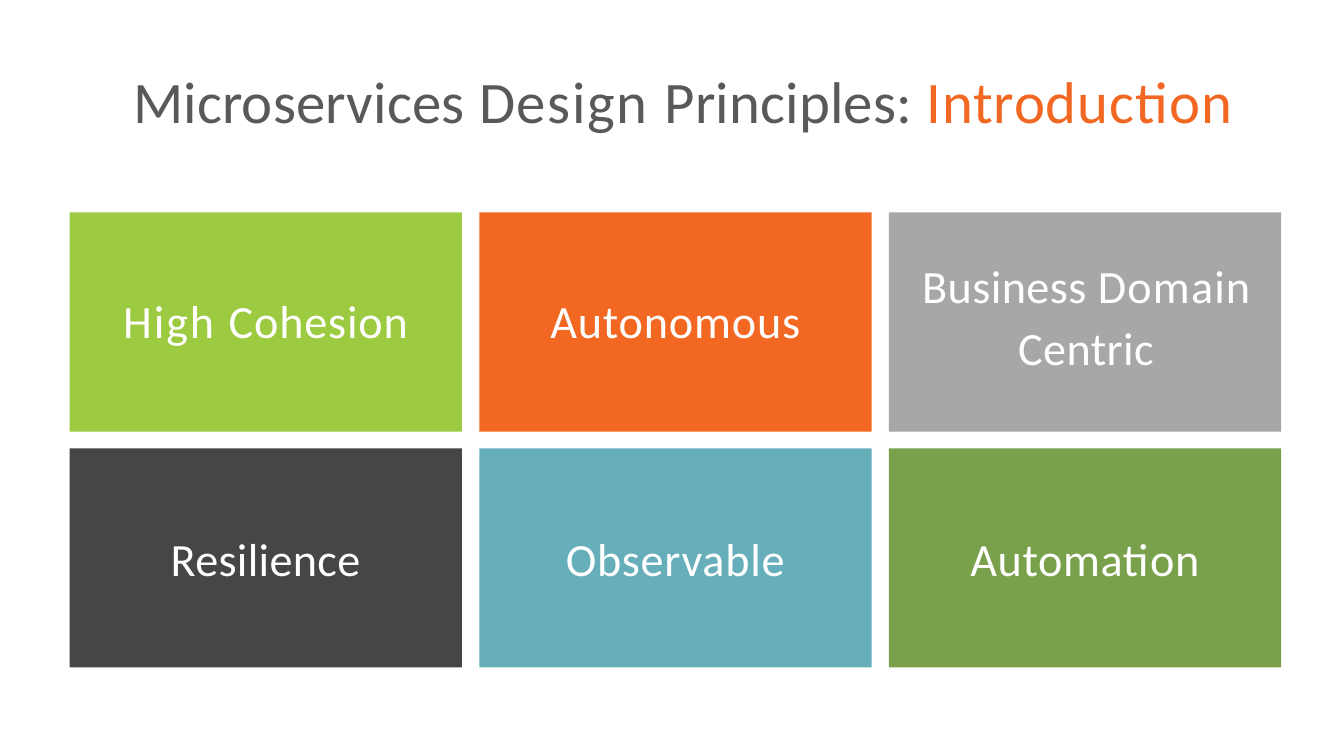
from pptx import Presentation
from pptx import util as u
from pptx.dml.color import RGBColor
from pptx.enum import shapes, text

COLORS = {
    "title": "58595B", "white": "FFFFFF", "orange": "F26722", "lime": "9CCB42",
    "gray": "A7A7A7", "charcoal": "464547", "teal": "66AEBA", "green": "79A14C",
}


class PrinciplesSlide:
    """Holds the text style and the slide that receives the title and tiles."""

    font = "Calibri"
    title_size = 56
    tile_size = 44

    def __init__(self, presentation):
        self.slide = presentation.slides.add_slide(presentation.slide_layouts[5])

    def color(self, name):
        return RGBColor.from_string(COLORS[name])

    def frame(self, shape, anchor, left=0, bottom=0):
        frame = shape.text_frame
        frame.word_wrap = True
        frame.auto_size = text.MSO_AUTO_SIZE.NONE
        frame.vertical_anchor = anchor
        frame.margin_left, frame.margin_bottom = u.Inches(left), u.Inches(bottom)
        frame.margin_top = frame.margin_right = 0
        return frame

    def runs(self, paragraph, parts, size):
        for words, color, spacing in parts:
            run = paragraph.add_run()
            run.text = words
            run.font.name = self.font
            run.font.size = u.Pt(size)
            run.font.color.rgb = self.color(color)
            run.font._element.set("spc", str(round(spacing * 100)))

    def title(self, parts):
        shape = self.slide.shapes.title
        shape.left, shape.top = u.Inches(1.13), u.Inches(0.85)
        shape.width, shape.height = u.Inches(15.52), u.Inches(0.93)
        paragraph = self.frame(shape, text.MSO_ANCHOR.TOP, left=0.63).paragraphs[0]
        paragraph.alignment = text.PP_ALIGN.LEFT
        self.runs(paragraph, parts, self.title_size)

    def tile(self, left, top, fill, parts, bottom=0, hanging=None):
        shape = self.slide.shapes.add_shape(
            shapes.MSO_SHAPE.RECTANGLE, u.Inches(left), u.Inches(top),
            u.Inches(5.19), u.Inches(2.9))
        shape.shadow.inherit = False
        shape.fill.solid()
        shape.fill.fore_color.rgb = self.color(fill)
        shape.line.fill.background()
        paragraph = self.frame(shape, text.MSO_ANCHOR.MIDDLE, bottom=bottom).paragraphs[0]
        paragraph.alignment = text.PP_ALIGN.CENTER
        if hanging:
            margin, indent = hanging
            paragraph.alignment = text.PP_ALIGN.LEFT
            paragraph.line_spacing = 1.12
            properties = paragraph._p.get_or_add_pPr()
            properties.set("marL", str(u.Inches(margin)))
            properties.set("indent", str(u.Inches(indent)))
        self.runs(paragraph, [(words, "white", spacing) for words, spacing in parts],
                  self.tile_size)


def main():
    presentation = Presentation()
    presentation.slide_width = u.Inches(17.78)
    presentation.slide_height = u.Inches(10)
    slide = PrinciplesSlide(presentation)
    slide.title([
        ("Microservices ", "title", 0.2), ("Design ", "title", 1.6),
        ("Principles: ", "title", 0.2), ("Introduction", "orange", 0.8),
    ])
    tiles = [
        ("lime", [("High ", 1.8), ("Cohesion", 0.8)], {"bottom": 0.06}),
        ("orange", [("Autonomous", 0.8)], {"bottom": 0.06}),
        ("gray", [("Business ", 0.4), ("Domain ", 1.1), ("Centric", 0.4)],
         {"bottom": 0.24, "hanging": (1.71, -1.27)}),
        ("charcoal", [("Resilience", 0.3)], {}),
        ("teal", [("Observable", 0.7)], {}),
        ("green", [("Automation", 0.6)], {}),
    ]
    for index, (fill, parts, layout) in enumerate(tiles):
        row, column = divmod(index, 3)
        slide.tile(0.92 + column * 5.42, 2.81 + row * 3.12, fill, parts, **layout)
    presentation.save("out.pptx")


if __name__ == "__main__":
    main()
